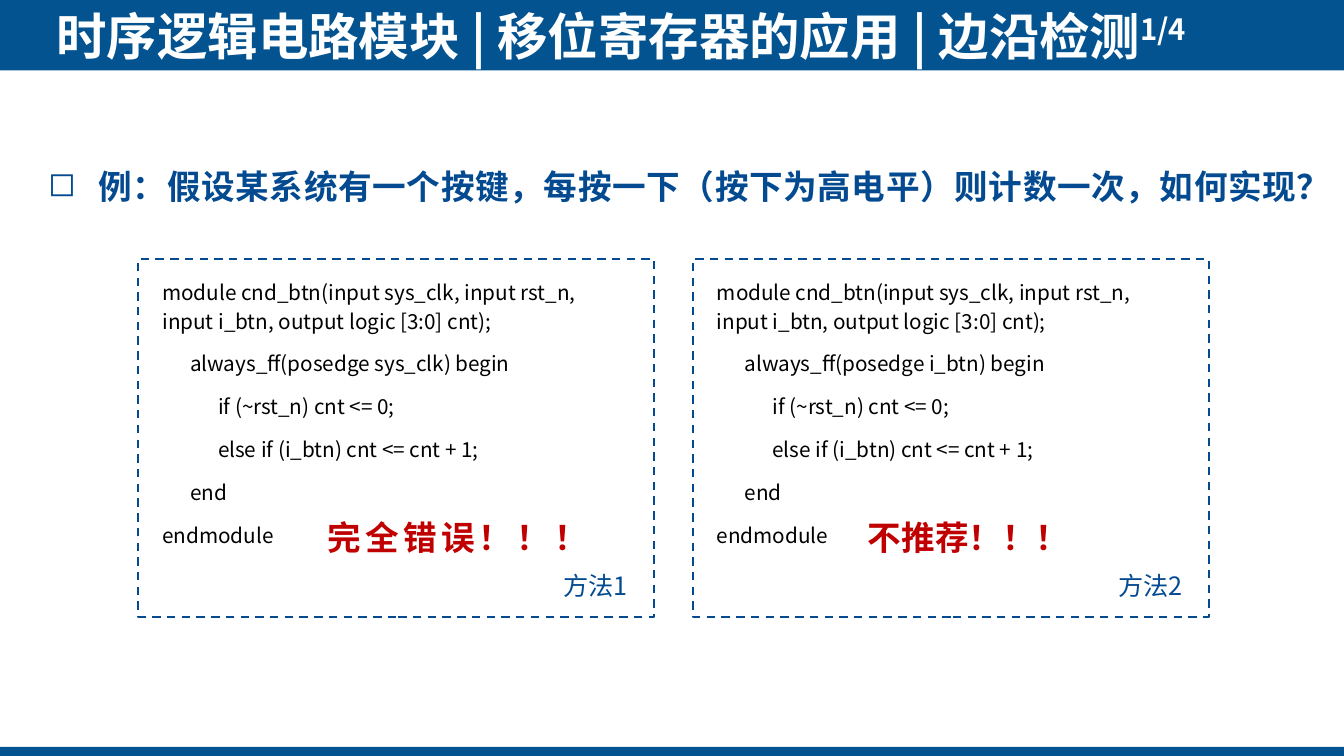
import pptx
import pptx.util
import pptx.dml.color
import pptx.enum.dml
import pptx.enum.shapes
import pptx.enum.text
import pptx.oxml.ns
import lxml.etree

FONT = "Noto Sans CJK SC"
BAR, BLUE, RED, WHITE, BLACK = "035390", "034A90", "C00000", "FFFFFF", "000000"
WIDTH, HEIGHT = 13.33, 7.5

TITLE = "时序逻辑电路模块 | 移位寄存器的应用 | 边沿检测"
PAGE = "1/4"
QUESTION = "例：假设某系统有一个按键，每按一下（按下为高电平）则计数一次，如何实现？"
METHODS = [
    {"label": "方法1", "clock": "sys_clk", "verdict": "完全错误！！！", "verdict_offset": 1.78},
    {"label": "方法2", "clock": "i_btn", "verdict": "不推荐！！！", "verdict_offset": 1.64},
]
CODE = [
    (0, "module cnd_btn(input sys_clk, input rst_n, input i_btn, output logic [3:0] cnt);"),
    (1, "always_ff(posedge {clock}) begin"),
    (2, "if (~rst_n) cnt <= 0;"),
    (2, "else if (i_btn) cnt <= cnt + 1;"),
    (1, "end"),
    (0, "endmodule"),
]
BARS = [(-0.03, 0.73), (7.41, 0.1)]
PANEL_LEFT, PANEL_TOP, PANEL_WIDTH, PANEL_HEIGHT = 1.37, 2.57, 5.12, 3.55
PANEL_STEP = 5.5
CODE_INDENT = 0.276

inches = pptx.util.Inches
points = pptx.util.Pt
ALIGN = pptx.enum.text.PP_ALIGN
ANCHOR = pptx.enum.text.MSO_ANCHOR


def color(value):
    return pptx.dml.color.RGBColor.from_string(value)


def add_element(parent, tag, **attributes):
    element = lxml.etree.SubElement(parent, pptx.oxml.ns.qn(tag))
    for name, value in attributes.items():
        element.set(name, value)
    return element


def add_rectangle(slide, left, top, width, height, fill=None, line=None):
    shape = slide.shapes.add_shape(
        pptx.enum.shapes.MSO_SHAPE.RECTANGLE,
        inches(left), inches(top), inches(width), inches(height))
    shape.shadow.inherit = False
    if fill:
        shape.fill.solid()
        shape.fill.fore_color.rgb = color(fill)
    else:
        shape.fill.background()
    if line:
        shape.line.color.rgb = color(line)
        shape.line.width = points(1.5)
        shape.line.dash_style = pptx.enum.dml.MSO_LINE.DASH
    else:
        shape.line.fill.background()
    return shape


def add_box(slide, left, top, width, height):
    return slide.shapes.add_textbox(inches(left), inches(top), inches(width), inches(height))


def set_frame(shape, margins=(0.1, 0.05), anchor=ANCHOR.TOP):
    frame = shape.text_frame
    frame.word_wrap = True
    frame.vertical_anchor = anchor
    frame.margin_left = frame.margin_right = inches(margins[0])
    frame.margin_top = frame.margin_bottom = inches(margins[1])
    return frame


def write(paragraph, text, size, fill, bold=False, align=ALIGN.LEFT,
          spacing=None, before=None, after=None, baseline=None):
    paragraph.alignment = align
    if spacing:
        paragraph.line_spacing = spacing
    if before is not None:
        paragraph.space_before = points(before)
    if after is not None:
        paragraph.space_after = points(after)
    run = paragraph.add_run()
    run.text = text
    run.font.size = points(size)
    run.font.bold = bold
    run.font.name = FONT
    run.font.color.rgb = color(fill)
    properties = run.font._element
    add_element(properties, "a:ea", typeface=FONT)
    if baseline:
        properties.set("baseline", str(baseline * 1000))


def set_indent(paragraph, left, first=0):
    properties = paragraph._p.get_or_add_pPr()
    properties.set("marL", str(inches(left)))
    properties.set("indent", str(inches(first)))
    return properties


def add_header(slide):
    for top, height in BARS:
        add_rectangle(slide, 0, top, WIDTH, height, fill=BAR)
    frame = set_frame(add_box(slide, 0.56, 0.05, 12.06, 0.61), (0, 0), ANCHOR.MIDDLE)
    write(frame.paragraphs[0], TITLE, 36, WHITE, bold=True)
    write(frame.paragraphs[0], PAGE, 36, WHITE, bold=True, baseline=30)


def add_question(slide):
    paragraph = set_frame(add_box(slide, 0.38, 1.4, 12.59, 0.64)).paragraphs[0]
    write(paragraph, QUESTION, 24, BLUE, bold=True, align=ALIGN.JUSTIFY, spacing=1.5, after=6)
    properties = set_indent(paragraph, 0.5, -0.5)
    add_element(add_element(properties, "a:buClr"), "a:srgbClr", val=BLUE)
    add_element(properties, "a:buChar", char="◻")


def add_method(slide, column, method):
    left = PANEL_LEFT + column * PANEL_STEP
    panel = add_rectangle(slide, left, PANEL_TOP, PANEL_WIDTH, PANEL_HEIGHT, line=BLUE)
    frame = set_frame(panel, (0.24, 0.16))
    for row, (level, text) in enumerate(CODE):
        paragraph = frame.add_paragraph() if row else frame.paragraphs[0]
        write(paragraph, text.format(clock=method["clock"]), 14.8, BLACK,
              spacing=1.17, before=9.8)
        set_indent(paragraph, level * CODE_INDENT)
    label = set_frame(add_box(slide, left + 4.12, 5.61, 0.91, 0.4))
    write(label.paragraphs[0], method["label"], 18, BLUE, align=ALIGN.JUSTIFY)
    verdict = set_frame(add_box(slide, left + method["verdict_offset"], 5.08, 2.45, 0.5))
    write(verdict.paragraphs[0], method["verdict"], 24, RED, bold=True, align=ALIGN.JUSTIFY)


def main():
    presentation = pptx.Presentation()
    presentation.slide_width = inches(WIDTH)
    presentation.slide_height = inches(HEIGHT)
    slide = presentation.slides.add_slide(presentation.slide_layouts[6])
    add_header(slide)
    add_question(slide)
    for column, method in enumerate(METHODS):
        add_method(slide, column, method)
    presentation.save("out.pptx")


if __name__ == "__main__":
    main()
